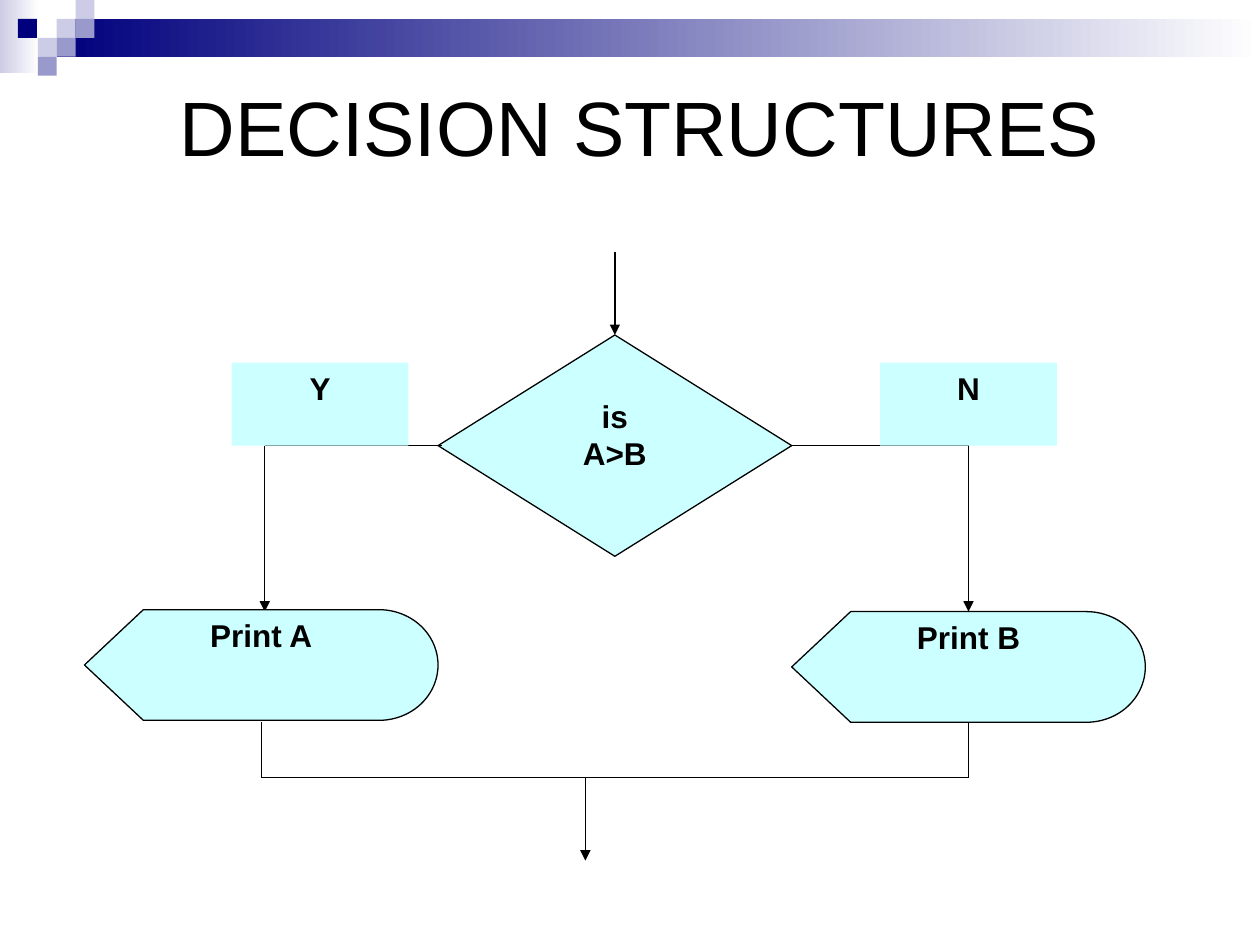
from dataclasses import dataclass

from pptx import Presentation
from pptx.dml.color import RGBColor
from pptx.enum.shapes import MSO_CONNECTOR, MSO_SHAPE
from pptx.enum.text import MSO_ANCHOR, MSO_AUTO_SIZE, PP_ALIGN
from pptx.oxml.ns import qn
from pptx.util import Inches, Pt
from lxml.etree import SubElement


@dataclass(frozen=True)
class Theme:
    """Colours, font, type sizes and line width of the slide."""
    ink: str = "000000"
    node: str = "CCFFFF"
    navy: str = "00007D"
    lilac: str = "9999CC"
    pale: str = "CCCCE6"
    paper: str = "FFFFFF"
    font: str = "Arial"
    title_size: int = 44
    label_size: int = 18
    stroke: float = 0.75


@dataclass(frozen=True)
class Grid:
    """Origin and cell size in inches."""
    left: float
    top: float
    column: float
    row: float

    def point(self, column, row):
        """Turn a grid position into slide lengths."""
        return Inches(self.left + column * self.column), Inches(self.top + row * self.row)

    def box(self, column, row, columns, rows):
        """Turn a grid area into left, top, width and height."""
        return *self.point(column, row), Inches(columns * self.column), Inches(rows * self.row)


MOSAIC = Grid(0, 0, 0.15, 0.15)
FLOW = Grid(0.67, 2, 8.42 / 36, 4.83 / 22)


class FlowSlide:
    """Draws the elements of one slide in one style."""

    def __init__(self, deck, theme):
        """Add a title-only slide to the deck."""
        self.theme = theme
        self.slide = deck.slides.add_slide(deck.slide_layouts[5])

    def label(self, frame, wording, size, bold, anchor):
        """Fill a text frame with centred lines."""
        frame.text = wording
        for name, value in {"word_wrap": True, "auto_size": MSO_AUTO_SIZE.NONE,
                            "vertical_anchor": anchor}.items():
            setattr(frame, name, value)
        for paragraph in frame.paragraphs:
            paragraph.alignment = PP_ALIGN.CENTER
            for name, value in {"name": self.theme.font, "size": Pt(size), "bold": bold}.items():
                setattr(paragraph.font, name, value)
            paragraph.font.color.rgb = RGBColor.from_string(self.theme.ink)

    def title(self, wording, area):
        """Place the title over the decoration."""
        heading = self.slide.shapes.title
        for name, value in zip(("left", "top", "width", "height"), area):
            setattr(heading, name, Inches(value))
        self.label(heading.text_frame, wording, self.theme.title_size, False, MSO_ANCHOR.MIDDLE)
        self.slide.shapes.element.append(heading.element)

    def block(self, preset, area, colour):
        """Add a plain filled shape without outline."""
        shape = self.slide.shapes.add_shape(preset, *area)
        shape.shadow.inherit = False
        shape.fill.solid()
        shape.fill.fore_color.rgb = RGBColor.from_string(colour)
        shape.line.fill.background()
        return shape

    def fade(self, area, colour):
        """Add a strip that fades to the paper colour."""
        strip = self.block(MSO_SHAPE.RECTANGLE, area, colour)
        strip.fill.gradient()
        strip.fill.gradient_angle = 0
        for stop, shade in zip(strip.fill.gradient_stops, (colour, self.theme.paper)):
            stop.color.rgb = RGBColor.from_string(shade)

    def outline(self, line):
        """Give a line the flowchart stroke."""
        line.color.rgb = RGBColor.from_string(self.theme.ink)
        line.width = Pt(self.theme.stroke)

    def node(self, preset, wording, area, outlined=True):
        """Add a labelled flowchart symbol."""
        symbol = self.block(preset, FLOW.box(*area), self.theme.node)
        if outlined:
            self.outline(symbol.line)
        self.label(symbol.text_frame, wording, self.theme.label_size, True, MSO_ANCHOR.TOP)

    def flow(self, start, end, arrow=False):
        """Add a flow line, with an arrowhead if asked."""
        link = self.slide.shapes.add_connector(
            MSO_CONNECTOR.STRAIGHT, *FLOW.point(*start), *FLOW.point(*end))
        self.outline(link.line)
        properties = link.element.spPr
        if arrow:
            SubElement(properties.find(qn("a:ln")), qn("a:tailEnd"), type="triangle")
        SubElement(properties, qn("a:effectLst"))


def main():
    """Build and save the decision slide."""
    deck = Presentation()
    deck.slide_width, deck.slide_height = Inches(10), Inches(7.5)
    theme = Theme()
    page = FlowSlide(deck, theme)

    page.fade(MOSAIC.box(0, 0, 2.07, 3.87), theme.pale)
    page.fade(MOSAIC.box(3, 1, 63.67, 2), theme.navy)
    for column, row, colour in (
            (3, 1, theme.pale), (4, 0, theme.pale), (4, 1, theme.lilac), (2, 2, theme.pale),
            (0.95, 1, theme.navy), (3, 2, theme.lilac), (2, 3, theme.lilac)):
        page.block(MSO_SHAPE.RECTANGLE, MOSAIC.box(column, row, 1, 1), colour)
    page.title("DECISION STRUCTURES", (0.58, 0.25, 9, 1.5))

    page.node(MSO_SHAPE.FLOWCHART_DECISION, "is\nA>B", (12, 3, 12, 8))
    for start, end, arrow in (
            ((24, 7), (30, 7), False), ((30, 7), (30, 13), True),
            ((6.12, 7), (12.12, 7), False), ((6.12, 7), (6.12, 13), True)):
        page.flow(start, end, arrow)
    for wording, column, row in (("Print B", 24, 13), ("Print A", 0, 12.93)):
        page.node(MSO_SHAPE.FLOWCHART_DISPLAY, wording, (column, row, 12, 4))
    for start, end, arrow in (
            ((18, 0), (18, 3), True), ((6, 17), (6, 19), False), ((6, 19), (30, 19), False),
            ((30, 19), (30, 17), False), ((17, 19), (17, 22), True)):
        page.flow(start, end, arrow)
    for answer, column in (("Y", 5), ("N", 27)):
        page.node(MSO_SHAPE.RECTANGLE, answer, (column, 4, 6, 3), outlined=False)

    deck.save("out.pptx")


if __name__ == "__main__":
    main()
